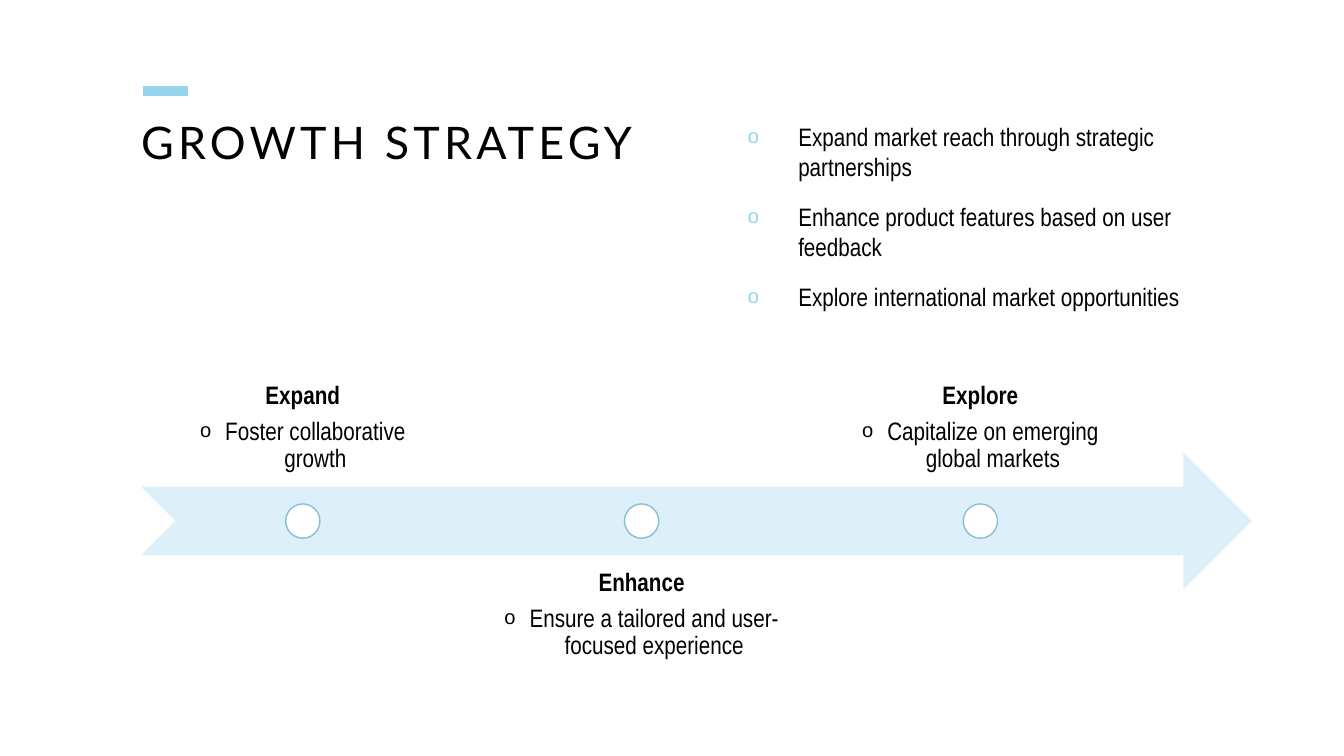
from lxml import etree
from pptx import Presentation
from pptx.dml.color import RGBColor
from pptx.enum.shapes import MSO_CONNECTOR, MSO_SHAPE
from pptx.enum.text import MSO_ANCHOR, MSO_AUTO_SIZE, PP_ALIGN
from pptx.oxml.ns import qn
from pptx.util import Pt

BLACK = RGBColor(0x00, 0x00, 0x00)
WHITE = RGBColor(0xFF, 0xFF, 0xFF)
ACCENT = RGBColor(0x96, 0xD3, 0xED)
ARROW_FILL = RGBColor(0xDD, 0xEF, 0xF8)
MARKER_LINE = RGBColor(0x88, 0xBF, 0xD7)
TITLE_FONT, BODY_FONT, BULLET_FONT = "Lato", "Arial Narrow", "Arial"
LEFT, CENTER = PP_ALIGN.LEFT, PP_ALIGN.CENTER
TOP, BOTTOM = MSO_ANCHOR.TOP, MSO_ANCHOR.BOTTOM
NO_FIT = MSO_AUTO_SIZE.NONE
STRAIGHT = MSO_CONNECTOR.STRAIGHT
NOTCHED_ARROW, OVAL = MSO_SHAPE.NOTCHED_RIGHT_ARROW, MSO_SHAPE.OVAL

GOALS = [
    "Expand market reach through strategic partnerships",
    "Enhance product features based on user feedback",
    "Explore international market opportunities",
]
# Heading, detail, label width in points, whether it sits above the arrow
MILESTONES = [
    ("Expand", "Foster collaborative growth", 175, True),
    ("Enhance", "Ensure a tailored and user-focused experience", 230.4, False),
    ("Explore", "Capitalize on emerging global markets", 230.4, True),
]


def add_bullet(paragraph, indent, color):
    """Give the paragraph a hanging "o" bullet; call after its spacing is set."""
    properties = paragraph._p.get_or_add_pPr()
    properties.set("marL", str(Pt(indent)))
    properties.set("indent", str(-Pt(indent)))
    fill = etree.SubElement(properties, qn("a:buClr"))
    etree.SubElement(fill, qn("a:srgbClr"), val=str(color))
    etree.SubElement(properties, qn("a:buSzPct"), val="80000")
    etree.SubElement(properties, qn("a:buFont"), typeface=BULLET_FONT)
    etree.SubElement(properties, qn("a:buChar"), char="o")


def write(paragraph, text, font=BODY_FONT, size=18, bold=False, align=LEFT,
          line_spacing=1.0, before=0, after=0, level=0, tracking=0,
          bullet_indent=0, bullet_color=BLACK):
    paragraph.alignment = align
    paragraph.level = level
    paragraph.line_spacing = line_spacing
    paragraph.space_before, paragraph.space_after = Pt(before), Pt(after)
    if bullet_indent:
        add_bullet(paragraph, bullet_indent, bullet_color)
    run = paragraph.add_run()
    run.text = text
    run.font.name, run.font.size, run.font.bold = font, Pt(size), bold
    run.font.color.rgb = BLACK
    if tracking:
        run._r.get_or_add_rPr().set("spc", str(tracking * 100))


def prepare_frame(shape, anchor=TOP, inset=0):
    frame = shape.text_frame
    frame.word_wrap, frame.auto_size = True, NO_FIT
    frame.vertical_anchor = anchor
    frame.margin_left = frame.margin_right = Pt(inset)
    frame.margin_top = frame.margin_bottom = Pt(inset)
    return frame


def move(shape, left, top, width, height):
    shape.left, shape.top = Pt(left), Pt(top)
    shape.width, shape.height = Pt(width), Pt(height)


def fill_title(slide, left, top, width, height):
    """Title with the short accent bar above it."""
    bar_y = top - 21.6
    bar = slide.shapes.add_connector(
        STRAIGHT, Pt(left + 1.4), Pt(bar_y), Pt(left + 33.8), Pt(bar_y))
    bar.line.color.rgb, bar.line.width = ACCENT, Pt(7)
    etree.SubElement(bar._element.spPr, qn("a:effectLst"))
    title = slide.shapes.title
    move(title, left, top, width, height)
    write(prepare_frame(title).paragraphs[0], "GROWTH STRATEGY",
          font=TITLE_FONT, size=32, line_spacing=0.9, tracking=3)


def fill_goals(slide, left, top, width, height):
    body = slide.placeholders[1]
    move(body, left, top, width, height)
    frame = prepare_frame(body)
    for i, goal in enumerate(GOALS):
        paragraph = frame.add_paragraph() if i else frame.paragraphs[0]
        write(paragraph, goal, before=14, bullet_indent=36, bullet_color=ACCENT)


def add_plain_shape(shapes, kind, left, top, width, height, fill, outline=None):
    shape = shapes.add_shape(kind, Pt(left), Pt(top), Pt(width), Pt(height))
    shape.shadow.inherit = False
    shape.fill.solid()
    shape.fill.fore_color.rgb = fill
    if outline:
        shape.line.color.rgb, shape.line.width = outline, Pt(1)
    else:
        shape.line.fill.background()


def add_milestone_label(shapes, heading, detail, left, top, width, height, anchor):
    label = shapes.add_textbox(Pt(left), Pt(top), Pt(width), Pt(height))
    frame = prepare_frame(label, anchor, inset=10)
    write(frame.paragraphs[0], heading, bold=True, align=CENTER,
          line_spacing=0.9, after=6.3)
    write(frame.add_paragraph(), detail, align=CENTER, line_spacing=0.9,
          after=2.7, level=1, bullet_indent=18)


def add_timeline(slide, left, top, width, height):
    """Arrow filling the upper two thirds' lower half, labels around it."""
    shapes = slide.shapes.add_group_shape().shapes
    arrow_height = height * 0.4
    arrow_top = top + height * 0.3
    marker = arrow_height / 4
    first_center, step = left + 115.5, 242
    add_plain_shape(shapes, NOTCHED_ARROW, left, arrow_top, width, arrow_height,
                    ARROW_FILL)
    for i, (heading, detail, label_width, above) in enumerate(MILESTONES):
        center = first_center + i * step
        label_top = top if above else top + height - arrow_height
        add_milestone_label(shapes, heading, detail, center - label_width / 2,
                            label_top, label_width, arrow_height,
                            BOTTOM if above else TOP)
        add_plain_shape(shapes, OVAL, center - marker / 2,
                        arrow_top + (arrow_height - marker) / 2,
                        marker, marker, WHITE, MARKER_LINE)


def main():
    deck = Presentation()
    deck.slide_width, deck.slide_height = Pt(960), Pt(540)
    slide = deck.slides.add_slide(deck.slide_layouts[1])
    fill_title(slide, 100.8, 86.4, 396, 144)
    fill_goals(slide, 534.2, 86.4, 360, 144)
    add_timeline(slide, 100.8, 249.8, 793.4, 244.8)
    deck.save("out.pptx")


if __name__ == "__main__":
    main()
